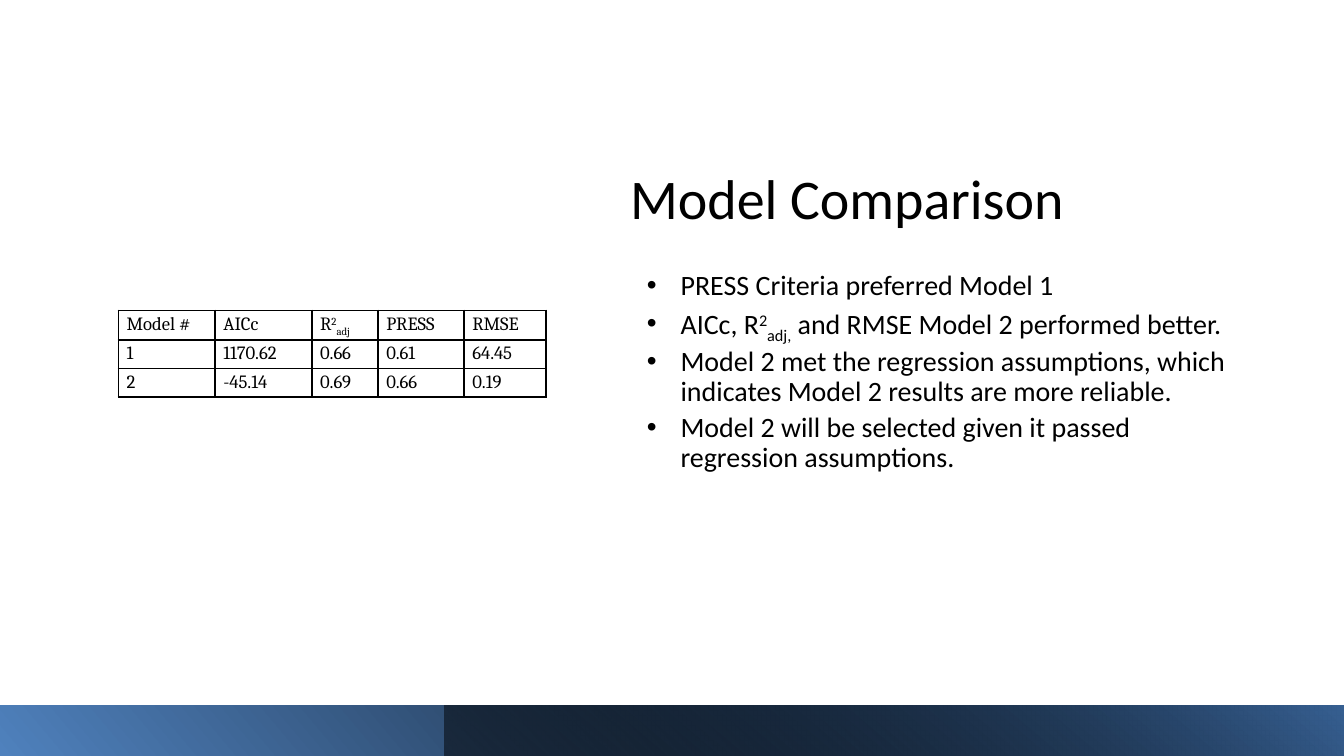
from lxml import etree
from pptx import Presentation
from pptx import util as u
from pptx.dml.color import RGBColor
from pptx.enum import shapes, text
from pptx.oxml import ns

SUPERSCRIPT, SUBSCRIPT = 30, -25
COLUMN_WIDTHS = [51.8, 51.8, 35.5, 46.1, 43.8]
ROW_HEIGHT = 15.3
MODEL_ROWS = [
    ["Model #", "AICc", [("R", 0), ("2", SUPERSCRIPT), ("adj", SUBSCRIPT)], "PRESS", "RMSE"],
    ["1", "1170.62", "0.66", "0.61", "64.45"],
    ["2", "-45.14", "0.69", "0.66", "0.19"],
]
FINDINGS = [
    "PRESS Criteria preferred Model 1",
    [("AICc, R", 0), ("2", SUPERSCRIPT), ("adj,", SUBSCRIPT),
     (" and RMSE Model 2 performed better.", 0)],
    "Model 2 met the regression assumptions, which indicates Model 2 results are more reliable.",
    "Model 2 will be selected given it passed regression assumptions.",
]


def color(hex_code):
    """Turn a hex string into a colour."""
    return RGBColor.from_string(hex_code)


def add_node(parent, tag, **attributes):
    """Append a drawing element with the given attributes."""
    node = etree.SubElement(parent, ns.qn(tag))
    for name, value in attributes.items():
        node.set(name, str(value))
    return node


def add_runs(para, content, size, font):
    """Add plain text, or pairs of text and baseline shift in percent."""
    pairs = [(content, 0)] if isinstance(content, str) else content
    for wording, shift in pairs:
        span = para.add_run()
        span.text = wording
        span.font.size = u.Pt(size)
        span.font.name = font
        span.font.color.rgb = color("000000")
        if shift:
            span.font._element.set("baseline", str(shift * 1000))


def add_text_box(page, left, top, width, height, anchor):
    """Add an empty wrapping text box and return its text frame."""
    box = page.shapes.add_textbox(u.Pt(left), u.Pt(top), u.Pt(width), u.Pt(height))
    frame = box.text_frame
    frame.word_wrap = True
    frame.vertical_anchor = anchor
    return frame


def add_title(page, wording):
    """Add the slide title, resting on the bottom of its box."""
    frame = add_text_box(page, 330.5, 28.8, 339.8, 98.6, text.MSO_ANCHOR.BOTTOM)
    para = frame.paragraphs[0]
    para.line_spacing = 0.9
    add_runs(para, wording, 30, "Calibri")


def add_bullets(page, items):
    """Add the bulleted findings."""
    frame = add_text_box(page, 330.5, 141.8, 339.8, 188.6, text.MSO_ANCHOR.TOP)
    for index, item in enumerate(items):
        para = frame.add_paragraph() if index else frame.paragraphs[0]
        para.line_spacing = 0.9
        para.space_before = u.Pt(3)
        properties = para._p.get_or_add_pPr()
        properties.set("marL", str(u.Pt(27)))
        properties.set("indent", str(u.Pt(-18)))
        add_node(properties, "a:buFont", typeface="Arial")
        add_node(properties, "a:buChar", char="•")
        add_runs(para, item, 15, "Calibri")


def add_band(page, left, width, angle, stops):
    """Add a footer band with a gradient of (position, colour, opacity) stops."""
    band = page.shapes.add_shape(
        shapes.MSO_SHAPE.RECTANGLE, u.Pt(left), u.Pt(378), u.Pt(width), u.Pt(27))
    band.shadow.inherit = False
    band.line.fill.background()
    gradient = etree.Element(ns.qn("a:gradFill"), rotWithShape="1")
    stop_list = add_node(gradient, "a:gsLst")
    for position, hex_code, opacity in stops:
        stop = add_node(stop_list, "a:gs", pos=position * 1000)
        shade = add_node(stop, "a:srgbClr", val=hex_code)
        if opacity < 100:
            add_node(shade, "a:alpha", val=opacity * 1000)
    add_node(gradient, "a:lin", ang=angle * 60000, scaled=0)
    band._element.spPr.find(ns.qn("a:prstGeom")).addnext(gradient)


def style_cell(cell):
    """Give a cell narrow margins, black borders and no fill."""
    cell.margin_left = cell.margin_right = u.Pt(4.5)
    cell.margin_top = cell.margin_bottom = 0
    properties = cell._tc.get_or_add_tcPr()
    for side in ("a:lnL", "a:lnR", "a:lnT", "a:lnB"):
        border = add_node(properties, side, w=u.Pt(1))
        add_node(add_node(border, "a:solidFill"), "a:srgbClr", val="000000")
    cell.fill.background()


def add_model_table(page, rows):
    """Add the table of model criteria."""
    frame = page.shapes.add_table(
        len(rows), len(COLUMN_WIDTHS), u.Pt(63.4), u.Pt(166.3),
        u.Pt(sum(COLUMN_WIDTHS)), u.Pt(ROW_HEIGHT * len(rows)))
    table = frame.table
    table.first_row = table.horz_banding = False
    for column, width in zip(table.columns, COLUMN_WIDTHS):
        column.width = u.Pt(width)
    for row, contents in zip(table.rows, rows):
        row.height = u.Pt(ROW_HEIGHT)
        for cell, content in zip(row.cells, contents):
            style_cell(cell)
            para = cell.text_frame.paragraphs[0]
            para.line_spacing = 1.15
            para.space_after = u.Pt(8)
            add_runs(para, content, 10, "Cambria")


def main():
    """Build the model comparison slide."""
    deck = Presentation()
    deck.slide_width, deck.slide_height = u.Pt(720), u.Pt(405)
    page = deck.slides.add_slide(deck.slide_layouts[6])
    add_title(page, "Model Comparison")
    add_bullets(page, FINDINGS)
    add_band(page, 0, 720, 320, [(0, "4F81BD", 100), (90, "000000", 100)])
    add_band(page, 238.3, 481.7, 310, [(0, "000000", 50), (100, "376092", 100)])
    add_model_table(page, MODEL_ROWS)
    deck.save("out.pptx")


if __name__ == "__main__":
    main()
